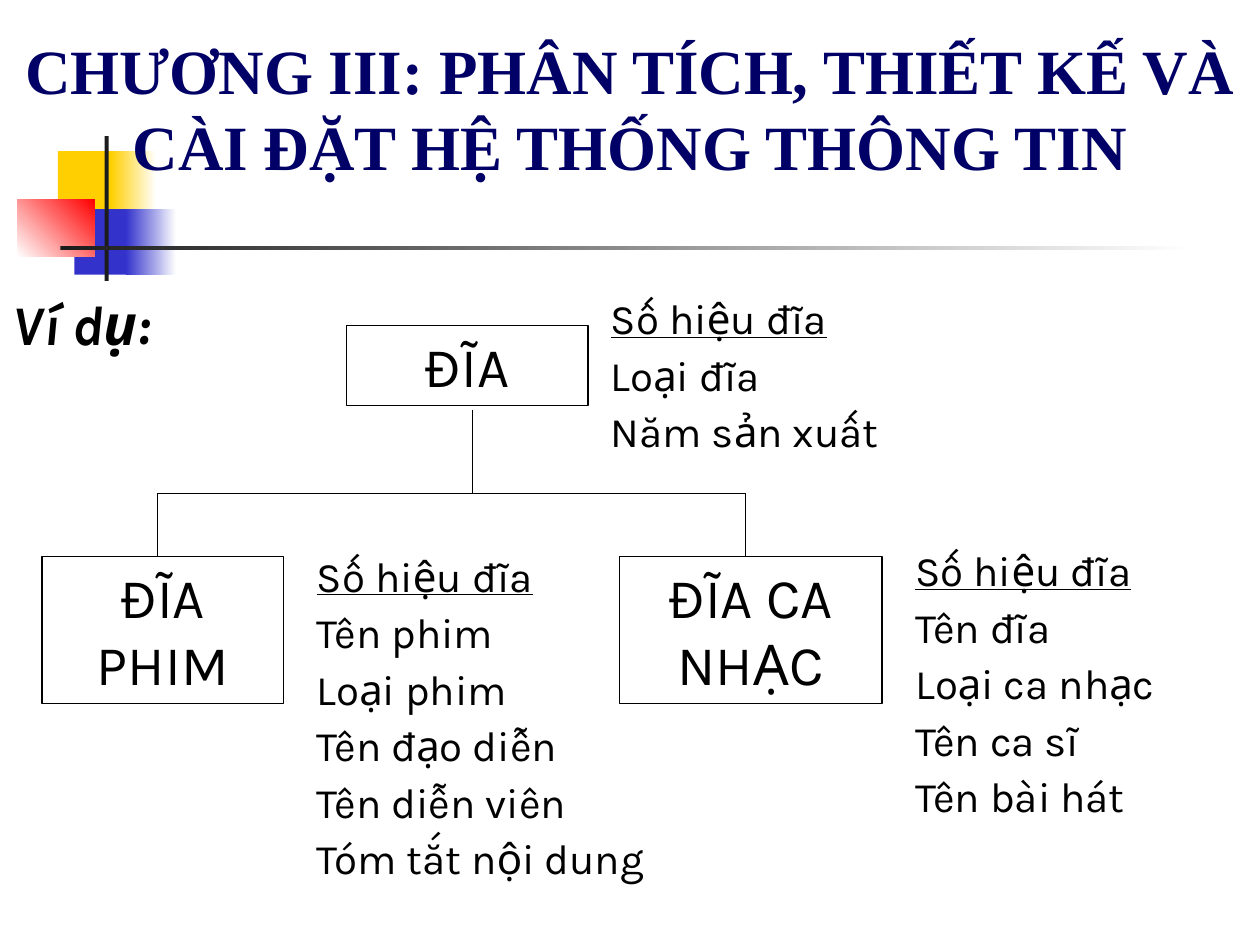
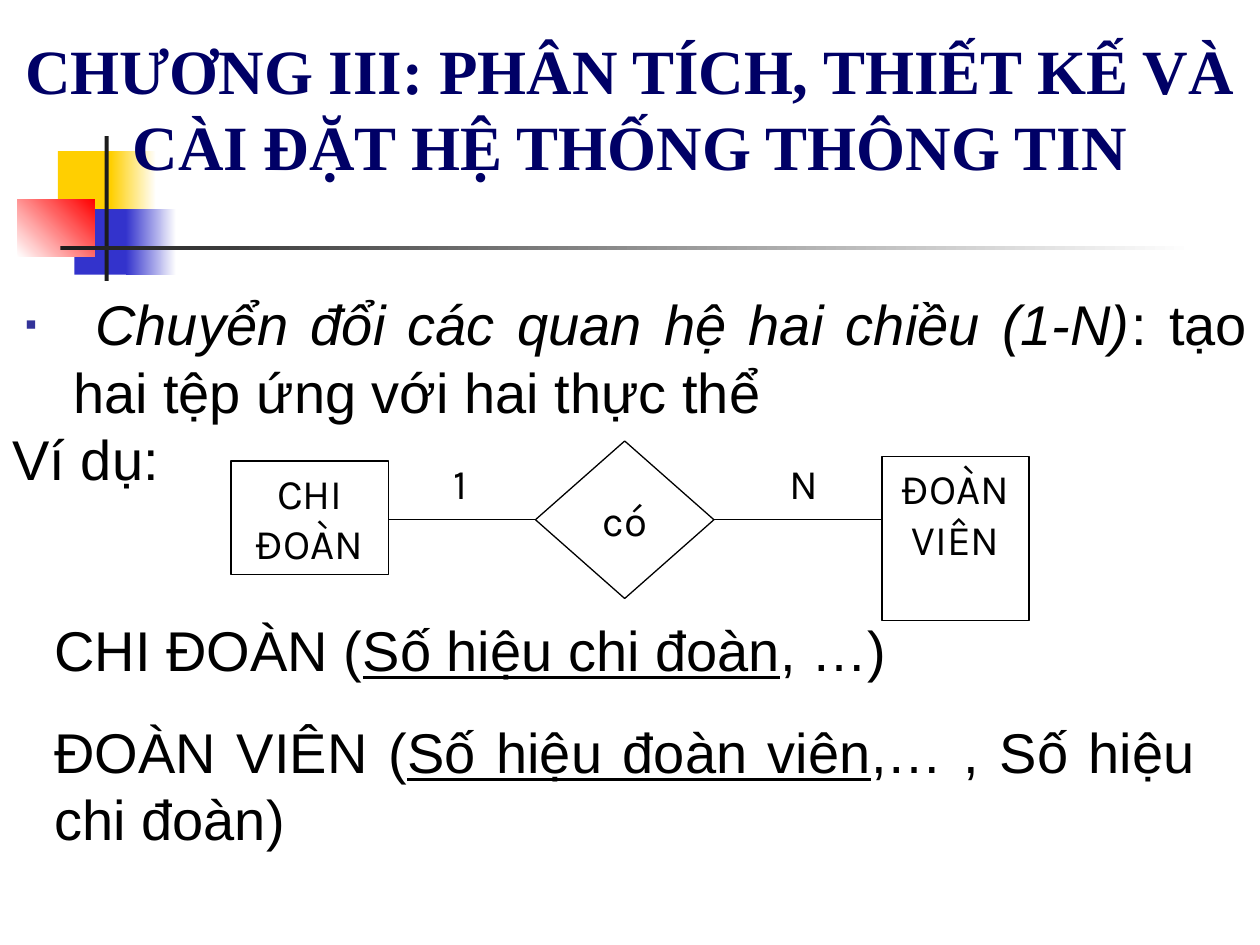
"""Build two slides on turning entities and relations into files."""
import dataclasses

import lxml.etree
import pptx
import pptx.dml.color
import pptx.enum.shapes
import pptx.enum.text
import pptx.oxml.ns
import pptx.util

SHAPE = pptx.enum.shapes.MSO_SHAPE
ALIGN = pptx.enum.text.PP_ALIGN
ANCHOR = pptx.enum.text.MSO_ANCHOR


@dataclasses.dataclass(frozen=True)
class Theme:
    title_font: str = "Times New Roman"
    text_font: str = "Arial"
    diagram_font: str = "Karla"
    title_size: int = 36
    large: int = 32
    small: int = 24
    navy: str = "000066"
    black: str = "000000"
    white: str = "FFFFFF"
    yellow: str = "FFCF01"
    blue: str = "3333CC"
    red: str = "FF0000"
    dark: str = "1C1C1C"
    bullet: str = "333399"
    line_width: float = 0.75


T = Theme()
COLS, ROWS = 120, 90
WIDTH, HEIGHT = pptx.util.Inches(10), pptx.util.Inches(7.5)

TITLE = "CHƯƠNG III: PHÂN TÍCH, THIẾT KẾ VÀ CÀI ĐẶT HỆ THỐNG THÔNG TIN"
TITLE_AREA = (0, 0, COLS, 18)
BODY_AREA = (0, 27, COLS, 63)

DECORATION = [
    ((5.52, 14.4, 5.76, 6.24), (T.yellow,), 0),
    ((10.56, 14.4, 4.32, 6.24), (T.yellow, T.white), 0),
    ((7.08, 19.92, 5.52, 6.24), (T.blue,), 0),
    ((12, 19.92, 4.8, 6.24), (T.blue, T.white), 0),
    ((1.68, 18.96, 7.32, 5.52), (T.white, T.red), 45),
    ((9.96, 12.96, 0.4, 13.8), (T.dark,), 0),
    ((5.76, 23.4, 108, 0.4), (T.dark, T.white), 0),
]

EXAMPLE = [[("Ví dụ:", "bi")]]
DISC_BOXES = [
    ("ĐĨA", (33, 31, 23, 7.65)),
    ("ĐĨA PHIM", (4, 53, 23, 14)),
    ("ĐĨA CA NHẠC", (59, 53, 25, 14)),
]
KEY = [("Số hiệu đĩa", "u")]
DISC_FIELDS = [
    ((57, 29, 30, 15), ["Loại đĩa", "Năm sản xuất"]),
    ((29, 53.5, 35, 31), ["Tên phim", "Loại phim", "Tên đạo diễn",
                          "Tên diễn viên", "Tóm tắt nội dung"]),
    ((86, 53, 32, 25.7), ["Tên đĩa", "Loại ca nhạc", "Tên ca sĩ", "Tên bài hát"]),
]
TRUNK, BRANCHES = 45, (15, 71)
TREE_TOP, TREE_BUS, TREE_BOTTOM = 39, 47, 53

RULE = [
    [(" Chuyển đổi các quan hệ hai chiều (1-N)", "i"), ": tạo hai tệp ứng với hai thực thể"],
    ["Ví dụ:"],
]
FILES = [
    ["CHI ĐOÀN (", ("Số hiệu chi đoàn", "u"), ", …)"],
    ["ĐOÀN VIÊN (", ("Số hiệu đoàn viên", "u"), ",… , Số hiệu chi đoàn)"],
]
FILES_AREA = (4, 58, 111, 23.8)
RELATION_LINE = (33, 49.5, 87, 49.5)
ENTITIES = [
    ("ĐOÀN VIÊN", (84, 43.5, 14, 15.6)),
    ("CHI ĐOÀN", (22, 43.9, 15, 10.8)),
]
CARDINALITIES = [("1", (42, 43, 8, 6)), ("N", (74, 43, 7, 6))]
RELATION = ("có", (51, 42, 17, 15))


def x(col):
    """Return the distance of a grid column from the left."""
    return int(WIDTH * col / COLS)


def y(row):
    """Return the distance of a grid row from the top."""
    return int(HEIGHT * row / ROWS)


def place(area):
    """Return left, top, width and height of a grid area."""
    left, top, width, height = area
    return x(left), y(top), x(width), y(height)


def rgb(value):
    """Return a colour from its hex digits."""
    return pptx.dml.color.RGBColor.from_string(value)


def set_bullet(p, bulleted):
    """Give a paragraph a square bullet, or none."""
    pPr = p._p.get_or_add_pPr()
    hang = pptx.util.Inches(0.38) if bulleted else 0
    pPr.set("marL", str(int(hang + pptx.util.Inches(0.1 if bulleted else 0))))
    pPr.set("indent", str(int(-hang)))

    def add(parent, tag, **attributes):
        return lxml.etree.SubElement(parent, pptx.oxml.ns.qn(tag), attributes)

    if bulleted:
        add(add(pPr, "a:buClr"), "a:srgbClr", val=T.bullet)
        add(pPr, "a:buSzPct", val="60000")
        add(pPr, "a:buChar", char="▪")
    else:
        add(pPr, "a:buNone")


def write(tf, paragraphs, font=T.diagram_font, size=T.small, color=T.black, bold=False,
          align=ALIGN.LEFT, anchor=ANCHOR.TOP, before=0, spacing=1.0, bullets=0, wrap=True):
    """Fill a text frame with paragraphs of plain or marked runs."""
    tf.auto_size = pptx.enum.text.MSO_AUTO_SIZE.NONE
    tf.word_wrap = wrap
    tf.vertical_anchor = anchor
    for i, runs in enumerate(paragraphs):
        p = tf.add_paragraph() if i else tf.paragraphs[0]
        set_bullet(p, i < bullets)
        p.alignment = align
        p.line_spacing = spacing
        p.space_before = pptx.util.Pt(before if i else 0)
        for run in runs:
            text, marks = (run, "") if isinstance(run, str) else run
            r = p.add_run()
            r.text = text
            r.font.name = font
            r.font.size = pptx.util.Pt(size)
            r.font.color.rgb = rgb(color)
            r.font.bold = bold or "b" in marks
            r.font.italic = "i" in marks
            r.font.underline = "u" in marks


def add_label(s, area, paragraphs, **fmt):
    """Add a text box."""
    write(s.shapes.add_textbox(*place(area)).text_frame, paragraphs, **fmt)


def add_node(s, area, text, kind=SHAPE.RECTANGLE, **fmt):
    """Add an outlined shape with a centred label."""
    sp = s.shapes.add_shape(kind, *place(area))
    sp.shadow.inherit = False
    sp.fill.solid()
    sp.fill.fore_color.rgb = rgb(T.white)
    sp.line.color.rgb = rgb(T.black)
    sp.line.width = pptx.util.Pt(T.line_width)
    write(sp.text_frame, [[text]], align=ALIGN.CENTER, **fmt)


def add_line(s, x1, y1, x2, y2):
    """Add a thin straight line between two grid points."""
    line = s.shapes.add_connector(
        pptx.enum.shapes.MSO_CONNECTOR.STRAIGHT, x(x1), y(y1), x(x2), y(y2))
    line.line.color.rgb = rgb(T.black)
    line.line.width = pptx.util.Pt(T.line_width)
    lxml.etree.SubElement(line.element.spPr, pptx.oxml.ns.qn("a:effectLst"))


def set_up_layout(layout, s):
    """Place the layout's title and body and move the decoration behind them."""
    for ph, area in zip(layout.placeholders, (TITLE_AREA, BODY_AREA)):
        ph.left, ph.top, ph.width, ph.height = place(area)
    for i, (area, colors, angle) in enumerate(DECORATION):
        sp = s.shapes.add_shape(SHAPE.RECTANGLE, *place(area))
        sp.shadow.inherit = False
        sp.line.fill.background()
        if len(colors) == 1:
            sp.fill.solid()
            sp.fill.fore_color.rgb = rgb(colors[0])
        else:
            sp.fill.gradient()
            sp.fill.gradient_angle = angle
            for stop, color in zip(sp.fill.gradient_stops, colors):
                stop.color.rgb = rgb(color)
        layout.shapes.element.insert(2 + i, sp.element)


def fill_placeholders(s, body, **fmt):
    """Write the shared title and the slide's body."""
    write(s.shapes.title.text_frame, [[TITLE]], font=T.title_font, size=T.title_size,
          color=T.navy, bold=True, align=ALIGN.CENTER, anchor=ANCHOR.BOTTOM)
    write(s.placeholders[1].text_frame, body, size=T.large, **fmt)


def build_disc_tree(s):
    """Draw the disc entity with its two kinds."""
    fill_placeholders(s, EXAMPLE)
    for text, area in DISC_BOXES:
        add_node(s, area, text, size=T.large)
    for area, fields in DISC_FIELDS:
        add_label(s, area, [KEY] + [[field] for field in fields], before=15, spacing=0.6)
    add_line(s, BRANCHES[0], TREE_BUS, BRANCHES[1], TREE_BUS)
    add_line(s, TRUNK, TREE_TOP, TRUNK, TREE_BUS)
    for col in BRANCHES:
        add_line(s, col, TREE_BUS, col, TREE_BOTTOM)


def build_relation(s):
    """Draw the one-to-many relation and its files."""
    fill_placeholders(s, RULE, font=T.text_font, align=ALIGN.JUSTIFY, bullets=1)
    add_label(s, FILES_AREA, FILES, font=T.text_font, size=T.large,
              align=ALIGN.JUSTIFY, before=20)
    add_line(s, *RELATION_LINE)
    for text, area in ENTITIES:
        add_node(s, area, text)
    for text, area in CARDINALITIES:
        add_label(s, area, [[text]])
    text, area = RELATION
    add_node(s, area, text, kind=SHAPE.DIAMOND, anchor=ANCHOR.MIDDLE, wrap=False)


def main():
    """Build and save the presentation."""
    prs = pptx.Presentation()
    prs.slide_width, prs.slide_height = WIDTH, HEIGHT
    layout = prs.slide_layouts[1]
    slides = [prs.slides.add_slide(layout) for _ in range(2)]
    set_up_layout(layout, slides[0])
    build_disc_tree(slides[0])
    build_relation(slides[1])
    prs.save("out.pptx")


if __name__ == "__main__":
    main()
